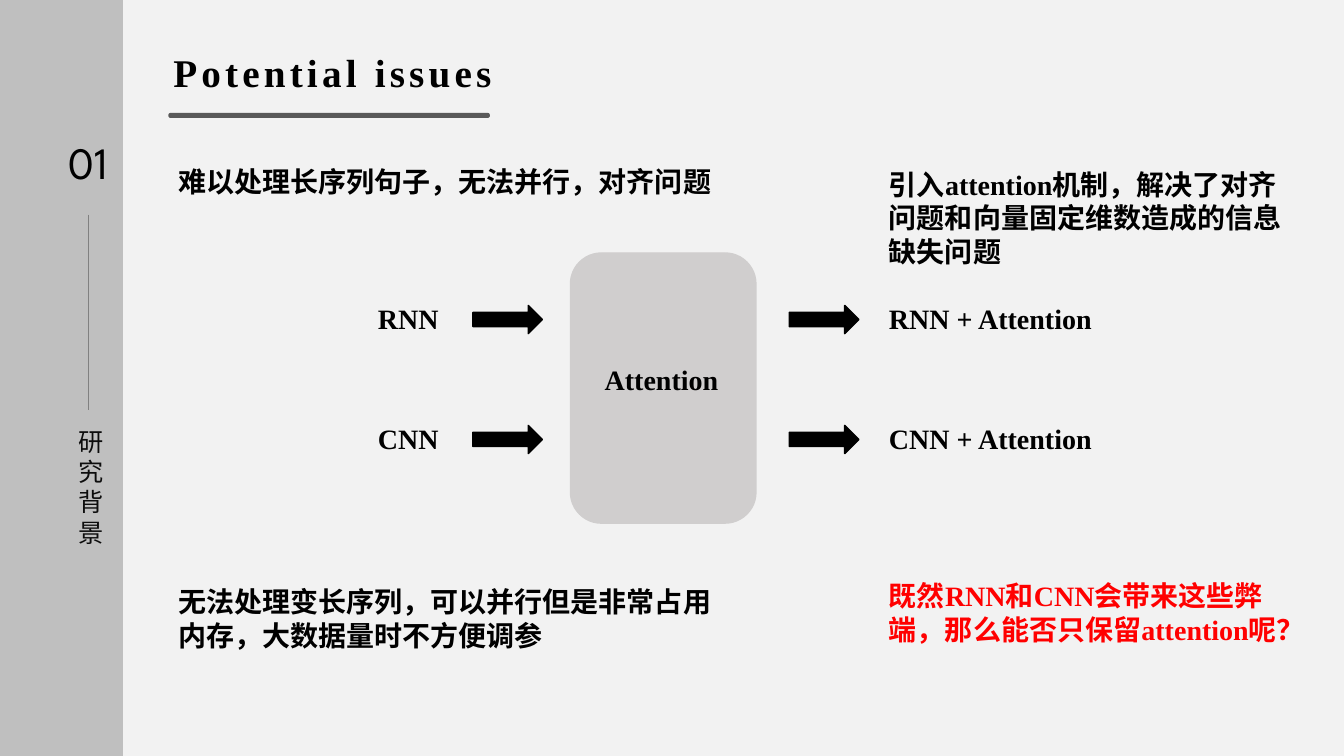
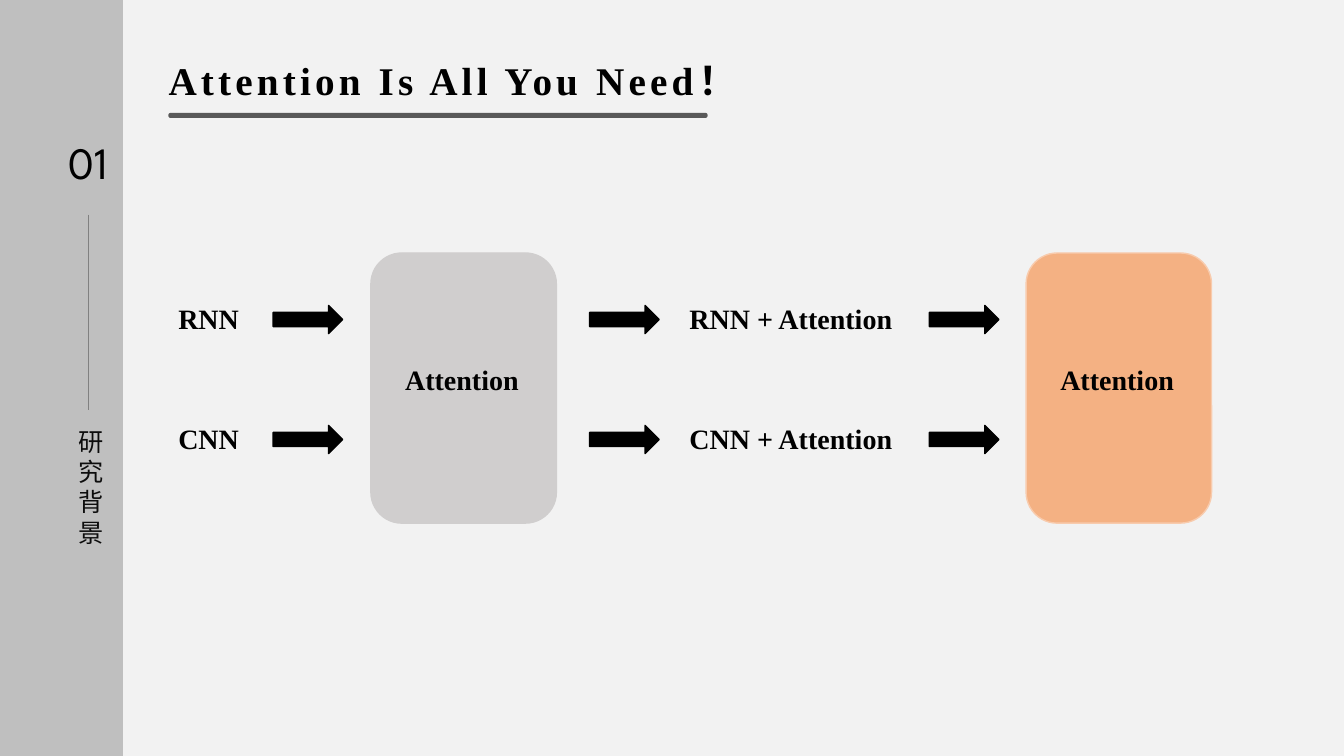
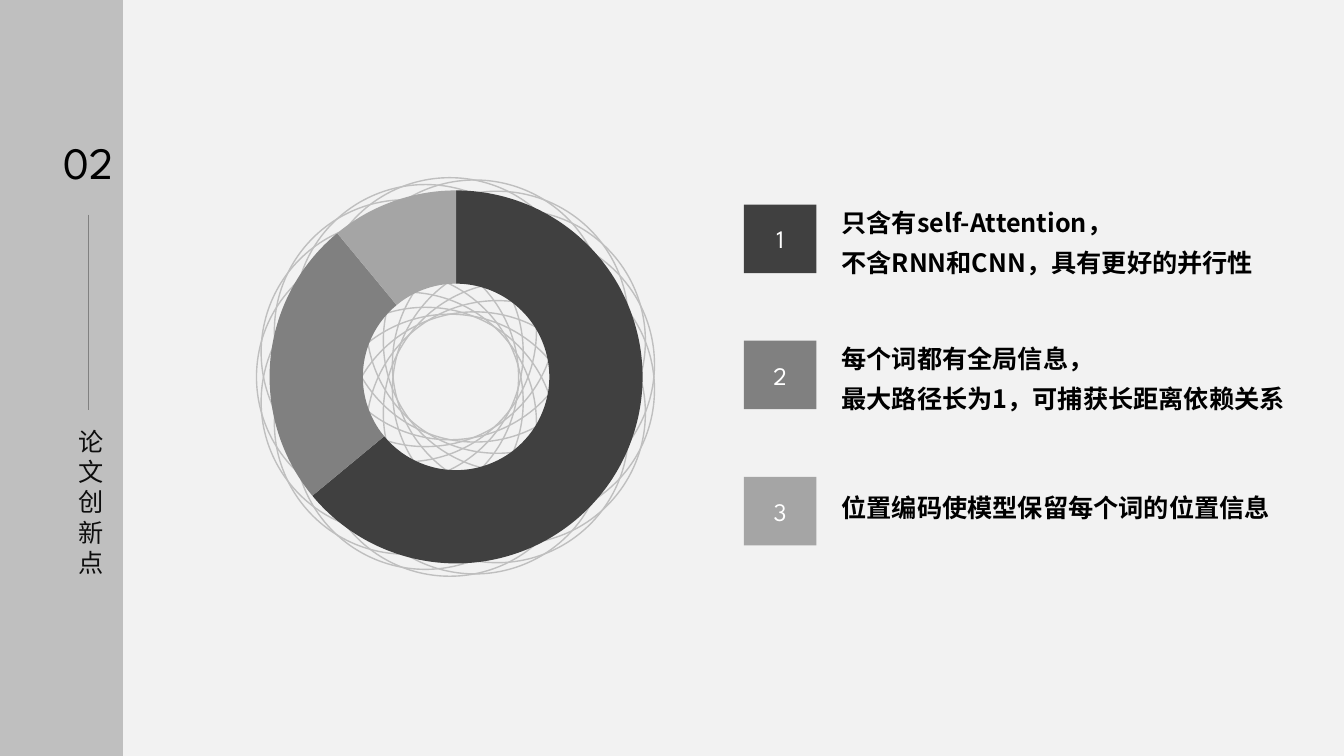
from dataclasses import dataclass
from math import cos, pi, sin

from lxml.etree import SubElement
from pptx import Presentation
from pptx.chart.data import CategoryChartData
from pptx.dml.color import RGBColor
from pptx.enum.chart import XL_CHART_TYPE
from pptx.enum.shapes import MSO_CONNECTOR, MSO_SHAPE
from pptx.enum.text import MSO_ANCHOR, MSO_AUTO_SIZE, PP_ALIGN
from pptx.oxml import parse_xml
from pptx.oxml.ns import nsdecls, qn
from pptx.util import Inches, Pt


@dataclass(frozen=True)
class Theme:
    page: str = "F2F2F2"
    band: str = "BFBFBF"
    ink: str = "000000"
    side_ink: str = "0D0D0D"
    rule: str = "808080"
    underline: str = "595959"
    alert: str = "FF0000"
    white: str = "FFFFFF"
    block: tuple = ("D0CECE", "D0CECE")
    accent: tuple = ("F4B183", "F8CBAD")
    greys: tuple = ("404040", "808080", "A5A5A5")
    body: str = "Times New Roman"
    display: str = "League Spartan"
    cjk: str = "Noto Sans CJK SC"
    number_size: int = 32
    title_size: int = 28
    body_size: int = 20
    small_size: int = 18
    chart_size: int = 10


T = Theme()
COLS, ROWS = 40, 22.5      # the slide as square cells, a third of an inch each


def cells(n):
    return Inches(n / 3)


@dataclass(frozen=True)
class Box:
    """A rectangle in grid cells."""
    x: float
    y: float
    w: float
    h: float

    def sub(self, x, y, w, h):
        return Box(self.x + x, self.y + y, w, h)

    @property
    def emu(self):
        return [cells(n) for n in (self.x, self.y, self.w, self.h)]


# ---- Drawing helpers ----
def color(code):
    return RGBColor.from_string(code)


def write(tf, text, size=T.body_size, font=T.body, ink=T.ink, bold=False,
          align=PP_ALIGN.LEFT, leading=None, spacing=None):
    for i, line in enumerate(text.split("\n")):
        p = tf.paragraphs[0] if i == 0 else tf.add_paragraph()
        p.alignment = align
        if leading:
            p.line_spacing = leading
        r = p.add_run()
        r.text = line
        r.font.size, r.font.bold, r.font.name = Pt(size), bold, font
        r.font.color.rgb = color(ink)
        rPr = r.font._element
        SubElement(rPr, qn("a:ea")).set("typeface", T.cjk)
        if spacing:
            rPr.set("spc", str(spacing * 100))


def text_box(s, box, text, wrap=True, **fmt):
    tf = s.shapes.add_textbox(*box.emu).text_frame
    tf.word_wrap = wrap
    tf.auto_size = MSO_AUTO_SIZE.SHAPE_TO_FIT_TEXT
    write(tf, text, **fmt)


def shape(shapes, kind, box, fill=None, line=None):
    sp = shapes.add_shape(kind, *box.emu)
    sp.shadow.inherit = False
    if fill:
        sp.fill.solid()
        sp.fill.fore_color.rgb = color(fill)
    else:
        sp.fill.background()
    if line:
        sp.line.color.rgb = color(line)
        sp.line.width = Pt(1)
    else:
        sp.line.fill.background()
    return sp


# ---- Shared regions ----
def sidebar(s, box, number, heading):
    shape(s.shapes, MSO_SHAPE.RECTANGLE, box, T.band)
    text_box(s, box.sub(1.59, 3.87, 2.1, 1.92), number, wrap=False,
             size=T.number_size, font=T.display, align=PP_ALIGN.CENTER)
    text_box(s, box.sub(2.04, 12.54, 1.23, 0.9 * len(heading) + 0.3), heading,
             size=T.small_size, font=T.display, ink=T.side_ink)
    x = cells(box.x + 2.64)
    rule = s.shapes.add_connector(MSO_CONNECTOR.STRAIGHT, x, cells(box.y + 6.39),
                                  x, cells(box.y + 12.21))
    rule.line.color.rgb = color(T.rule)
    rule.line.width = Pt(0.5)
    SubElement(rule._element.spPr, qn("a:effectLst"))


def title(s, box, text, rule_width):
    text_box(s, box, text, wrap=False, size=T.title_size, bold=True,
             align=PP_ALIGN.CENTER, spacing=3)
    sp = shape(s.shapes, MSO_SHAPE.ROUNDED_RECTANGLE,
               Box(5.01, 3.36, rule_width, 0.15), T.underline)
    sp.adjustments[0] = 0.44


def new_slide(prs, number, heading):
    s = prs.slides.add_slide(prs.slide_layouts[6])
    sidebar(s, Box(0, 0, 3.66, ROWS), number, heading)
    return s


# ---- Attention flow: two rows passing through blocks ----
FLOW_ROWS = (1.29, 4.86)


def flow_labels(s, box, suffix=""):
    for y, name in zip(FLOW_ROWS, ("RNN", "CNN")):
        text_box(s, box.sub(0, y, box.w, 1.32), name + suffix, bold=True)


def flow_arrows(s, box):
    for y in FLOW_ROWS:
        shape(s.shapes, MSO_SHAPE.RIGHT_ARROW, box.sub(0, y + 0.27, 2.07, 0.84),
              T.ink, T.ink)


def flow_block(s, box, colors):
    shape(s.shapes, MSO_SHAPE.ROUNDED_RECTANGLE, box, *colors)
    text_box(s, box.sub(0.72, 3.12, 4.05, 1.32), "Attention", bold=True)


def attention_flow(s, box, with_result=False):
    def column(x, w):
        return box.sub(x, 0, w, box.h)

    flow_labels(s, column(0, 4.05))
    flow_arrows(s, column(3.12, 2.07))
    flow_block(s, column(6.03, 5.52), T.block)
    flow_arrows(s, column(12.54, 2.07))
    flow_labels(s, column(15.21, 8.73), " + Attention")
    if with_result:
        flow_arrows(s, column(22.65, 2.07))
        flow_block(s, column(25.53, 5.52), T.accent)


# ---- Doughnut with a ring of circles behind it ----
def circle_ring(s, box, count=17, radius=3.9, orbit=2.04):
    group = s.shapes.add_group_shape()
    cx, cy = box.w / 2 - radius, box.h / 2 - radius
    for i in range(count):
        angle = pi + 2 * pi * i / count
        shape(group.shapes, MSO_SHAPE.OVAL,
              box.sub(cx + orbit * cos(angle), cy + orbit * sin(angle),
                      2 * radius, 2 * radius), line=T.band)


def doughnut(s, box):
    data = CategoryChartData()
    data.categories = ["1", "2", "3"]
    data.add_series("Series 1", (64, 25, 11))
    chart = s.shapes.add_chart(XL_CHART_TYPE.DOUGHNUT, *box.emu, data).chart
    chart.has_legend = chart.has_title = False
    chart.font.size, chart.font.name = Pt(T.chart_size), T.display
    chart.font.color.rgb = color(T.ink)
    plot = chart.plots[0]
    plot.vary_by_categories = True
    for i, grey in enumerate(T.greys):
        fmt = plot.series[0].points[i].format
        fmt.fill.solid()
        fmt.fill.fore_color.rgb = color(grey)
        fmt.line.fill.background()
    plot._element.find(qn("c:holeSize")).set("val", "62")
    # Fixed plot area, centred in the chart
    area = chart._chartSpace.chart.plotArea
    for old in area.findall(qn("c:layout")):
        area.remove(old)
    w, h = 0.62, 0.93
    marks = "".join(f'<c:{k} val="{v:.3f}"/>' for k, v in
                    (("x", (1 - w) / 2), ("y", (1 - h) / 2), ("w", w), ("h", h)))
    area.insert(0, parse_xml(
        f'<c:layout {nsdecls("c")}><c:manualLayout><c:layoutTarget val="inner"/>'
        f'<c:xMode val="edge"/><c:yMode val="edge"/>{marks}'
        '</c:manualLayout></c:layout>'))


def innovation_list(s, box, items):
    pitch = 4.05
    for i, (text, grey) in enumerate(zip(items, T.greys)):
        y = i * pitch
        badge = shape(s.shapes, MSO_SHAPE.RECTANGLE, box.sub(0, y, 2.16, 2.04), grey)
        badge.text_frame.vertical_anchor = MSO_ANCHOR.MIDDLE
        write(badge.text_frame, str(i + 1), size=T.small_size, font=T.display,
              ink=T.white, align=PP_ALIGN.CENTER)
        two_lines = "\n" in text
        text_box(s, box.sub(2.61, y + (-0.33 if two_lines else 0.06), box.w - 2.61,
                            2.55 if two_lines else 1.38),
                 text, size=T.small_size, font=T.cjk, bold=True, leading=1.3)


# ---- Slides ----
def issues_slide(prs):
    s = new_slide(prs, "01", "研究背景")
    title(s, Box(4.74, 1.29, 10.32, 1.71), "Potential issues", 9.57)
    attention_flow(s, Box(10.95, 7.53, 23.94, 8.04))
    left, right = (5.01, 16.89), (26.16, 12.36)
    for (x, w), y, h, ink, text in (
            (left, 4.74, 1.32, T.ink, "难以处理长序列句子，无法并行，对齐问题"),
            (left, 17.25, 2.31, T.ink,
             "无法处理变长序列，可以并行但是非常占用内存，大数据量时不方便调参"),
            (right, 4.83, 3.33, T.ink,
             "引入attention机制，解决了对齐问题和向量固定维数造成的信息缺失问题"),
            (right, 17.07, 3.33, T.alert,
             "既然RNN和CNN会带来这些弊端，那么能否只保留attention呢？")):
        text_box(s, Box(x, y, w, h), text, ink=ink, bold=True)


def attention_slide(prs):
    s = new_slide(prs, "01", "研究背景")
    title(s, Box(4.56, 1.53, 17.85, 1.71), "Attention Is All You Need！", 16.05)
    attention_flow(s, Box(5.01, 7.53, 31.05, 8.04), with_result=True)


def innovation_slide(prs):
    s = new_slide(prs, "02", "论文创新点")
    chart_box = Box(4.62, 5.25, 17.91, 11.94)
    circle_ring(s, chart_box)
    doughnut(s, chart_box)
    innovation_list(s, Box(22.14, 6.09, 17.61, 10.14), (
        "只含有self-Attention，\n不含RNN和CNN，具有更好的并行性",
        "每个词都有全局信息，\n最大路径长为1，可捕获长距离依赖关系",
        "位置编码使模型保留每个词的位置信息"))


def main():
    prs = Presentation()
    prs.slide_width, prs.slide_height = cells(COLS), cells(ROWS)
    background = prs.slide_master.background.fill
    background.solid()
    background.fore_color.rgb = color(T.page)
    issues_slide(prs)
    attention_slide(prs)
    innovation_slide(prs)
    prs.save("out.pptx")


if __name__ == "__main__":
    main()
